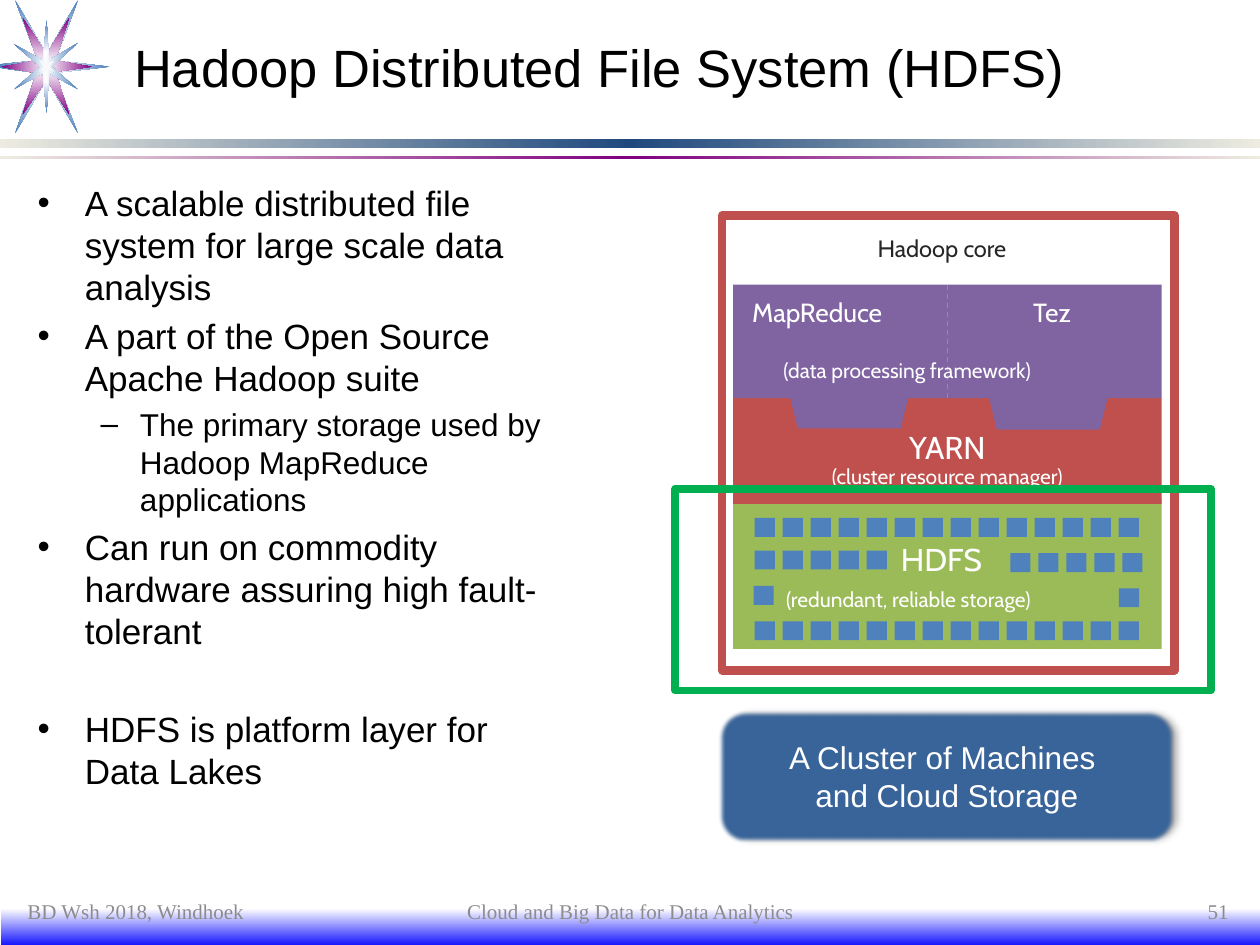
"""Build the Hadoop Distributed File System (HDFS) slide."""
from pptx import Presentation
from pptx import util as u
from pptx.dml import color
from pptx.enum import dml, shapes, text
from pptx.oxml import parse_xml
from pptx.oxml import ns

Pt = u.Pt
RECT = shapes.MSO_SHAPE.RECTANGLE
TOP, MIDDLE = text.MSO_ANCHOR.TOP, text.MSO_ANCHOR.MIDDLE
CENTER, RIGHT = text.PP_ALIGN.CENTER, text.PP_ALIGN.RIGHT


def rgb(code):
    return color.RGBColor.from_string(code)


def write(frame, words, *, size, ink="000000", font="Arial", align=None,
          spacing=None, bullet=None, margin=0, hang=0, before=0):
    first = frame.paragraphs[0]
    paragraph = frame.add_paragraph() if first.runs else first
    paragraph.text = words
    if bullet:
        properties = paragraph._p.get_or_add_pPr()
        properties.set("marL", str(Pt(margin)))
        properties.set("indent", str(Pt(-hang)))
        properties.append(parse_xml(f'<a:buFont {ns.nsdecls("a")} typeface="Arial"/>'))
        properties.append(parse_xml(f'<a:buChar {ns.nsdecls("a")} char="{bullet}"/>'))
    paragraph.alignment = align
    paragraph.line_spacing = spacing
    paragraph.space_before = Pt(before)
    run = paragraph.runs[0]
    run.font.name, run.font.size = font, Pt(size)
    run.font.color.rgb = rgb(ink)


deck = Presentation()
deck.slide_width, deck.slide_height = Pt(720), Pt(540)
slide = deck.slides.add_slide(deck.slide_layouts[6])
canvas = slide.shapes

gradients = []
across, down = '<a:lin ang="0"/>', '<a:lin ang="5400000"/>'
for box, stops, direction in [
    ((0.7, 519.1, 720, 23), ["FFFFFF", "0000FF"], down),
    ((0, 79.6, 720, 5), ["EEECE1", "1F497D", "EEECE1"], across),
    ((0, 89, 720, 2), ["EEECE1", "800080", "EEECE1"], across),
]:
    band = canvas.add_shape(RECT, *map(Pt, box))
    gradients.append((band, stops, direction))

from_center = ('<a:path path="rect"><a:fillToRect l="50000" t="50000" '
               'r="50000" b="50000"/></a:path>')
for edge, corners in [
    ("4F81BD", [(30, 48), (12, 0), (37, 43), (62, 0), (44, 48), (87, 53), (43, 58),
                (62, 106), (37, 63), (12, 106), (29, 58), (0, 54), (0, 51)]),
    ("800080", [(30, 48), (18, 14), (37, 43), (55, 14), (44, 48), (73, 53),
                (44, 57), (55, 91), (37, 63), (18, 91), (29, 58), (1, 53)]),
    ("4F81BD", [(11, 35), (34, 48), (37, 16), (39, 48), (62, 34), (41, 53),
                (62, 71), (39, 58), (37, 90), (34, 58), (11, 71), (32, 53)]),
    (None, [(31, 48), (36, 50), (37, 43), (38, 50), (43, 48), (39, 53),
            (43, 57), (38, 55), (37, 62), (36, 55), (31, 57), (35, 53)]),
]:
    outline = canvas.build_freeform(*corners[0], scale=Pt(0.72))
    outline.add_line_segments(corners[1:], close=True)
    star = outline.convert_to_shape()
    if edge:
        gradients.append((star, ["FFFFFF", edge], from_center))
    else:
        star.fill.solid()
        star.fill.fore_color.rgb = rgb("F9F9F9")
        star.line.fill.background()
        star.shadow.inherit = False

for shape, stops, direction in gradients:
    marks = "".join(
        f'<a:gs pos="{100000 * i // (len(stops) - 1)}"><a:srgbClr val="{stop}"/></a:gs>'
        for i, stop in enumerate(stops))
    shape._element.spPr.insert(2, parse_xml(
        f'<a:gradFill {ns.nsdecls("a")} rotWithShape="1">'
        f'<a:gsLst>{marks}</a:gsLst>{direction}</a:gradFill>'))
    shape.line.fill.background()
    shape.shadow.inherit = False

trapezoid = shapes.MSO_SHAPE.TRAPEZOID
blocks = [
    (RECT, 419, 285.1, 244.8, 85.7, "9BBB59"),
    (RECT, 419, 227.5, 244.8, 60.5, "C0504D"),
    (RECT, 419, 162.7, 244.8, 64.8, "8064A2"),
    (trapezoid, 451.4, 226.8, 67.7, 18, "8064A2"),
    (trapezoid, 565.2, 227.5, 67.7, 18, "8064A2"),
]
for left, top, count in [(431.3, 296, 14), (431.3, 314.6, 5), (577.4, 316.1, 5),
                         (430.6, 334.8, 1), (639.4, 336.2, 1), (431.3, 355, 14)]:
    blocks += [(RECT, left + 16 * i, top, 11.5, 10.8, "4F81BD") for i in range(count)]

drawn = []
for kind, left, top, width, height, fill in blocks:
    block = canvas.add_shape(kind, Pt(left), Pt(top), Pt(width), Pt(height))
    block.rotation = 180 if kind == trapezoid else 0
    block.fill.solid()
    block.fill.fore_color.rgb = rgb(fill)
    block.line.fill.background()
    block.shadow.inherit = False
    drawn.append(block)
processing = drawn[2]

divider = canvas.add_connector(shapes.MSO_CONNECTOR.STRAIGHT,
                               Pt(541.4), Pt(162.7), Pt(541.4), Pt(227.5))
divider.begin_connect(processing, 0)
divider.end_connect(processing, 2)
divider.line.color.rgb = rgb("46AAC5")
divider.line.width = Pt(0.75)
divider.line.dash_style = dml.MSO_LINE.DASH
divider._element.spPr.append(parse_xml(f'<a:effectLst {ns.nsdecls("a")}/>'))

point = dict(size=20, bullet="•", margin=27, hang=27)
subpoint = dict(size=18, bullet="–", margin=58.5, hang=22.5, before=3.6)
footer = dict(size=12, ink="8C8C8C", font="Times New Roman")
label = dict(ink="FFFFFF", font="Cabin", spacing=0.9)
note = dict(label, size=12)
normal, roomy = (7.2, 3.6), (10.8, 8.64)
for box, (side, edge), anchor, wrap, lines in [
    ((70.6, 11.5, 613.4, 53.3), (6, 3.6), MIDDLE, True,
     [("Hadoop Distributed File System (HDFS)", dict(size=30))]),
    ((14.4, 100.1, 317.5, 396.7), normal, TOP, True, [
        ("A scalable distributed file system for large scale data analysis", point),
        ("A part of the Open Source Apache Hadoop suite", dict(point, before=4)),
        ("The primary storage used by Hadoop MapReduce applications", subpoint),
        ("Can run on commodity hardware assuring high fault-tolerant",
         dict(point, before=4)),
        ("HDFS is platform layer for Data Lakes", dict(point, before=32)),
    ]),
    ((8.6, 511.2, 178.6, 19.4), normal, MIDDLE, True,
     [("BD Wsh 2018, Windhoek", footer)]),
    ((246.2, 510.5, 228.2, 20.2), normal, MIDDLE, True,
     [("Cloud and Big Data for Data Analytics", dict(footer, align=CENTER))]),
    ((541.4, 510.5, 167.8, 20.2), normal, MIDDLE, True,
     [("51", dict(footer, align=RIGHT))]),
    ((412.6, 132.5, 251.3, 20.2), roomy, MIDDLE, False,
     [("Hadoop core", dict(label, size=13.5, ink="262626", align=CENTER))]),
    ((419, 163.4, 123.1, 38.2), roomy, TOP, False, [("MapReduce", dict(label, size=15))]),
    ((579.6, 163.4, 61.9, 36.7), roomy, TOP, False, [("Tez", dict(label, size=15))]),
    ((440.6, 202.3, 197.3, 23), normal, TOP, False,
     [("(data processing framework)", note)]),
    ((441.4, 238.3, 200, 45), roomy, TOP, False,
     [("YARN", dict(label, size=18, align=CENTER)),
      ("(cluster resource manager)", dict(note, align=CENTER))]),
    ((504, 302.4, 82.1, 31.7), roomy, TOP, False, [("HDFS", dict(label, size=18))]),
    ((442.1, 333.4, 196.6, 23), normal, TOP, False,
     [("(redundant, reliable storage)", note)]),
]:
    frame = canvas.add_textbox(*map(Pt, box)).text_frame
    frame.margin_left = frame.margin_right = Pt(side)
    frame.margin_top = frame.margin_bottom = Pt(edge)
    frame.vertical_anchor, frame.word_wrap = anchor, wrap
    for words, style in lines:
        write(frame, words, **style)

cluster = canvas.add_shape(shapes.MSO_SHAPE.ROUNDED_RECTANGLE,
                           Pt(411.8), Pt(406.8), Pt(258.5), Pt(73.4))
cluster.fill.solid()
cluster.fill.fore_color.rgb = cluster.line.color.rgb = rgb("396499")
cluster.line.width = Pt(2)
cluster._element.spPr.append(parse_xml(
    f'<a:effectLst {ns.nsdecls("a")}><a:outerShdw blurRad="50800" dist="38100" dir="0">'
    '<a:srgbClr val="000000"><a:alpha val="40000"/></a:srgbClr></a:outerShdw>'
    '<a:softEdge rad="31750"/></a:effectLst>'))
cluster.text_frame.vertical_anchor = MIDDLE
for words in ("A Cluster of Machines ", "and Cloud Storage"):
    write(cluster.text_frame, words, size=18, ink="FFFFFF", align=CENTER)

for box, ink, weight in [((412.6, 123.1, 258.5, 259.9), "C0504D", 5),
                         ((385.9, 279.4, 306, 115.2), "00B050", 4.5)]:
    border = canvas.add_shape(RECT, *map(Pt, box))
    border.fill.background()
    border.line.color.rgb = rgb(ink)
    border.line.width = Pt(weight)
    border.shadow.inherit = False

deck.save("out.pptx")
